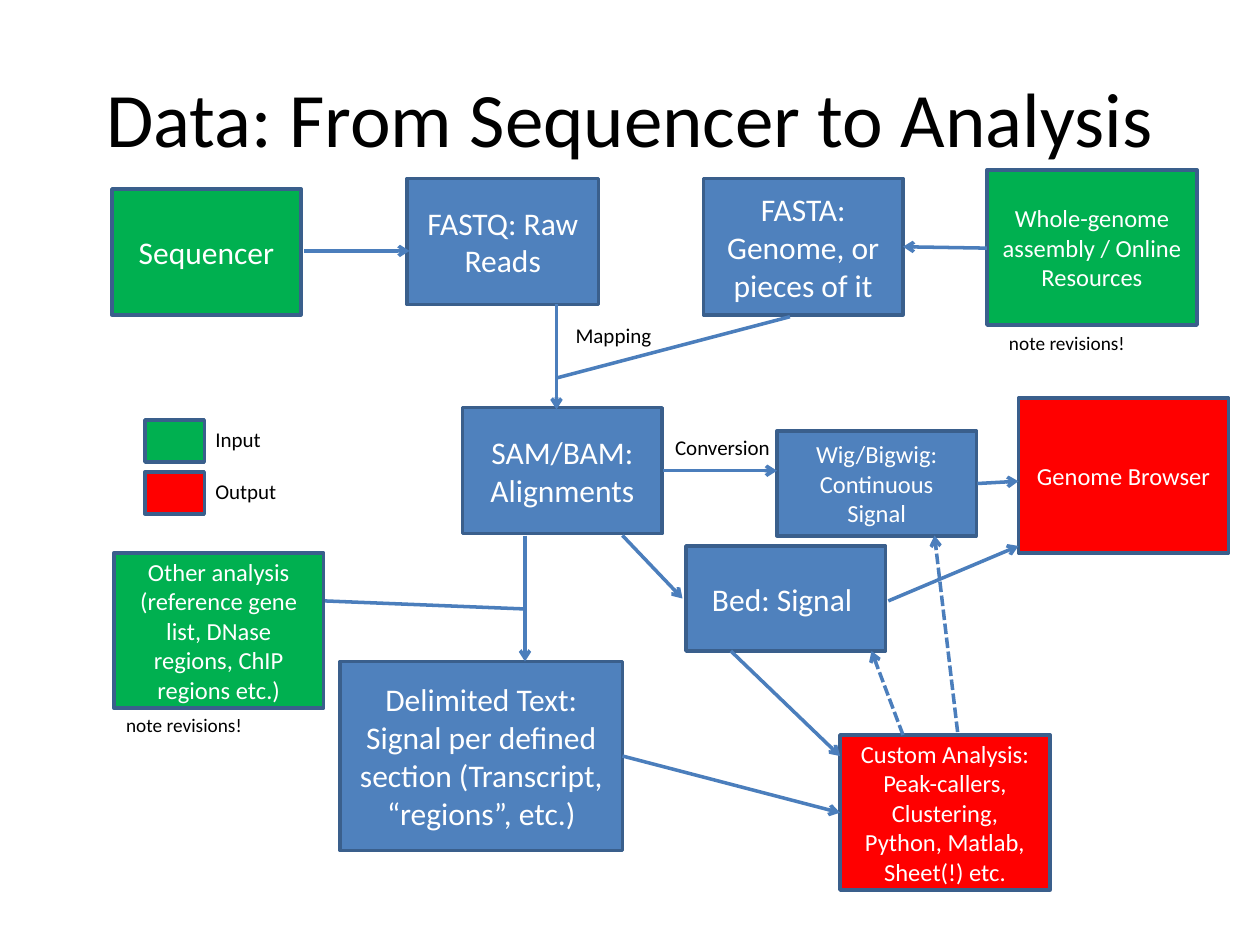
import dataclasses

import pptx
import pptx.dml.color
import pptx.enum.dml
import pptx.enum.shapes
import pptx.enum.text
import pptx.oxml
import pptx.oxml.ns
import pptx.slide
import pptx.util

Pt = pptx.util.Pt
ANCHOR = pptx.enum.text.MSO_ANCHOR
ALIGN = pptx.enum.text.PP_ALIGN

COLORS = {
    "input": "00B050",
    "format": "4F81BD",
    "output": "FF0000",
    "outline": "3A5F8C",
    "arrow": "4B7EBC",
    "dark": "000000",
    "light": "FFFFFF",
}


def rgb(name):
    """Return the named palette colour."""
    return pptx.dml.color.RGBColor.from_string(COLORS[name])


def apply(target, values):
    """Set each attribute of the target from a dict."""
    for name, value in values.items():
        setattr(target, name, value)


@dataclasses.dataclass
class FlowSlide:
    """Holds the current slide and the style of its elements."""

    slide: pptx.slide.Slide
    font_name: str = "Calibri"
    line_width: float = 2

    def add_text(self, shape, text, size, color, align, **frame_values):
        """Put one formatted paragraph into a shape."""
        apply(shape.text_frame, {"word_wrap": True, **frame_values})
        paragraph = shape.text_frame.paragraphs[0]
        paragraph.alignment = align
        run = paragraph.add_run()
        run.text = text
        apply(run.font, {"name": self.font_name, "size": Pt(size)})
        run.font.color.rgb = rgb(color)

    def title(self, text, left, top, width, height):
        """Place and fill the title placeholder."""
        shape = self.slide.shapes.title
        apply(shape, {"left": Pt(left), "top": Pt(top),
                      "width": Pt(width), "height": Pt(height)})
        self.add_text(shape, text, 44, "dark", ALIGN.CENTER,
                      vertical_anchor=ANCHOR.MIDDLE)

    def box(self, kind, left, top, width, height, text="", size=14):
        """Draw an outlined box, with centred text if any."""
        shape = self.slide.shapes.add_shape(
            pptx.enum.shapes.MSO_SHAPE.RECTANGLE,
            Pt(left), Pt(top), Pt(width), Pt(height))
        shape.shadow.inherit = False
        shape.fill.solid()
        shape.fill.fore_color.rgb = rgb(kind)
        shape.line.color.rgb = rgb("outline")
        shape.line.width = Pt(self.line_width)
        if text:
            self.add_text(shape, text, size, "light", ALIGN.CENTER,
                          vertical_anchor=ANCHOR.MIDDLE)

    def label(self, text, left, top, width, size=12, wrap=True):
        """Add a small dark caption."""
        shape = self.slide.shapes.add_textbox(
            Pt(left), Pt(top), Pt(width), Pt(size + 9.8))
        self.add_text(shape, text, size, "dark", ALIGN.LEFT, word_wrap=wrap,
                      auto_size=pptx.enum.text.MSO_AUTO_SIZE.SHAPE_TO_FIT_TEXT)

    def connect(self, start, end, head=True, dashed=False):
        """Draw a line between two points, with an open arrowhead by default."""
        connector = self.slide.shapes.add_connector(
            pptx.enum.shapes.MSO_CONNECTOR.STRAIGHT,
            *(Pt(value) for value in (*start, *end)))
        connector.line.color.rgb = rgb("arrow")
        connector.line.width = Pt(self.line_width)
        if dashed:
            connector.line.dash_style = pptx.enum.dml.MSO_LINE.SQUARE_DOT
        namespace = pptx.oxml.ns.nsdecls("a")
        properties = connector._element.spPr
        if head:
            properties.find(pptx.oxml.ns.qn("a:ln")).append(
                pptx.oxml.parse_xml(f'<a:tailEnd {namespace} type="arrow"/>'))
        properties.append(pptx.oxml.parse_xml(f"<a:effectLst {namespace}/>"))


TALL = (120, 88.6)
FLAT = (114, 60)
BOXES = [
    ("input", 64, 108, 108, 72, "Sequencer", 18),
    ("format", 232.6, 102, 109.4, 72, "FASTQ: Raw Reads", 18),
    ("format", 402, 102, 114, 78, "FASTA: Genome, or pieces of it", 18),
    ("input", 564, 97.2, *TALL, "Whole-genome assembly / Online Resources"),
    ("format", 264.4, 233, 114, 72, "SAM/BAM: Alignments", 18),
    ("format", 444, 246.2, *FLAT, "Wig/Bigwig: Continuous Signal"),
    ("output", 582, 227.5, *TALL, "Genome Browser"),
    ("format", 392, 312, *FLAT, "Bed: Signal ", 18),
    ("format", 194.4, 378, 161.3, 108,
     "Delimited Text: Signal per defined section "
     "(Transcript, “regions”, etc.)", 18),
    ("input", 65, 316, *TALL,
     "Other analysis (reference gene list, DNase regions, "
     "ChIP regions etc.)"),
    ("output", 480, 420, *TALL,
     "Custom Analysis: Peak-callers, Clustering, Python, Matlab, "
     "Sheet(!) etc."),
]
ARROWS = [
    ((174, 143.4), (234, 143.4)),
    ((318, 174), (318, 234)),
    ((564, 141.8), (516, 141)),
    ((379, 269), (444, 269)),
    ((558.5, 276.3), (582, 275)),
    ((355.7, 306), (390, 342)),
    ((507.6, 343.4), (582, 312)),
    ((300, 306), (300, 378)),
    ((417.6, 372), (480, 432)),
    ((355.7, 432), (480, 464.4)),
]
JOINS = [((451.4, 181), (318, 216)), ((300, 348), (185.8, 343.4))]
FEEDBACK = [((516, 420), (498, 372)), ((547.2, 418.3), (534, 306))]
REVISION_NOTES = [(569.5, 185.8), (65, 404)]
LEGEND = [("input", "Input"), ("output", "Output")]


def build():
    """Build and save the slide."""
    presentation = pptx.Presentation()
    apply(presentation, {"slide_width": Pt(720), "slide_height": Pt(540)})
    flow = FlowSlide(
        presentation.slides.add_slide(presentation.slide_layouts[5]))
    flow.title("Data: From Sequencer to Analysis", 36, 21.6, 648, 90)
    for box in BOXES:
        flow.box(*box)
    for start, end in ARROWS:
        flow.connect(start, end)
    for start, end in JOINS:
        flow.connect(start, end, head=False)
    for start, end in FEEDBACK:
        flow.connect(start, end, dashed=True)
    for index, (kind, caption) in enumerate(LEGEND):
        top = 240 + 29.6 * index
        flow.box(kind, 82.8, top, 34, 24)
        flow.label(caption, 116, top + 0.2, 108)
    flow.label("Mapping", 321.8, 180.7, 68.4)
    flow.label("Conversion", 378.7, 244.8, 69, wrap=False)
    for left, top in REVISION_NOTES:
        flow.label("note revisions!", left, top, 81.4, size=11, wrap=False)
    presentation.save("out.pptx")


build()
